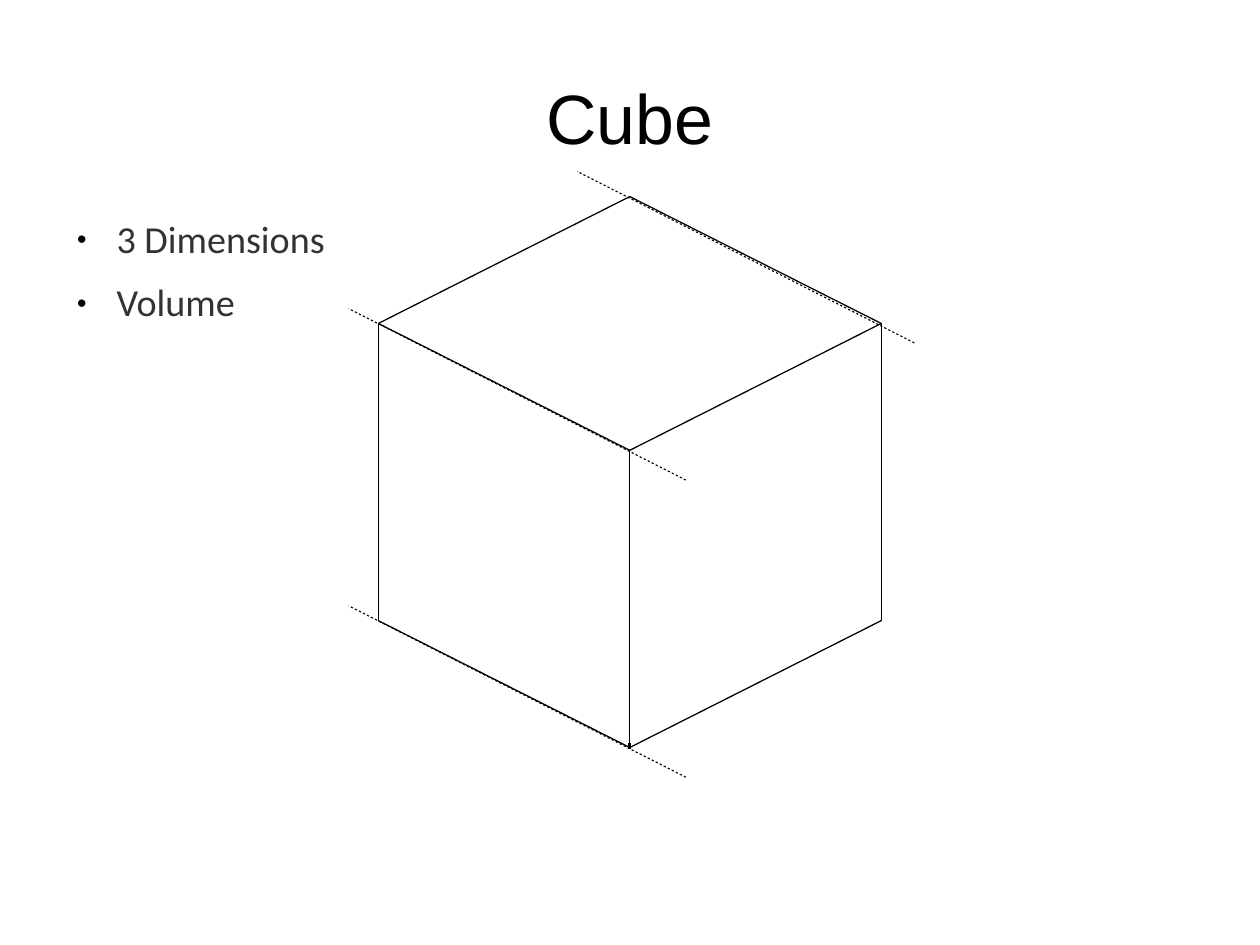
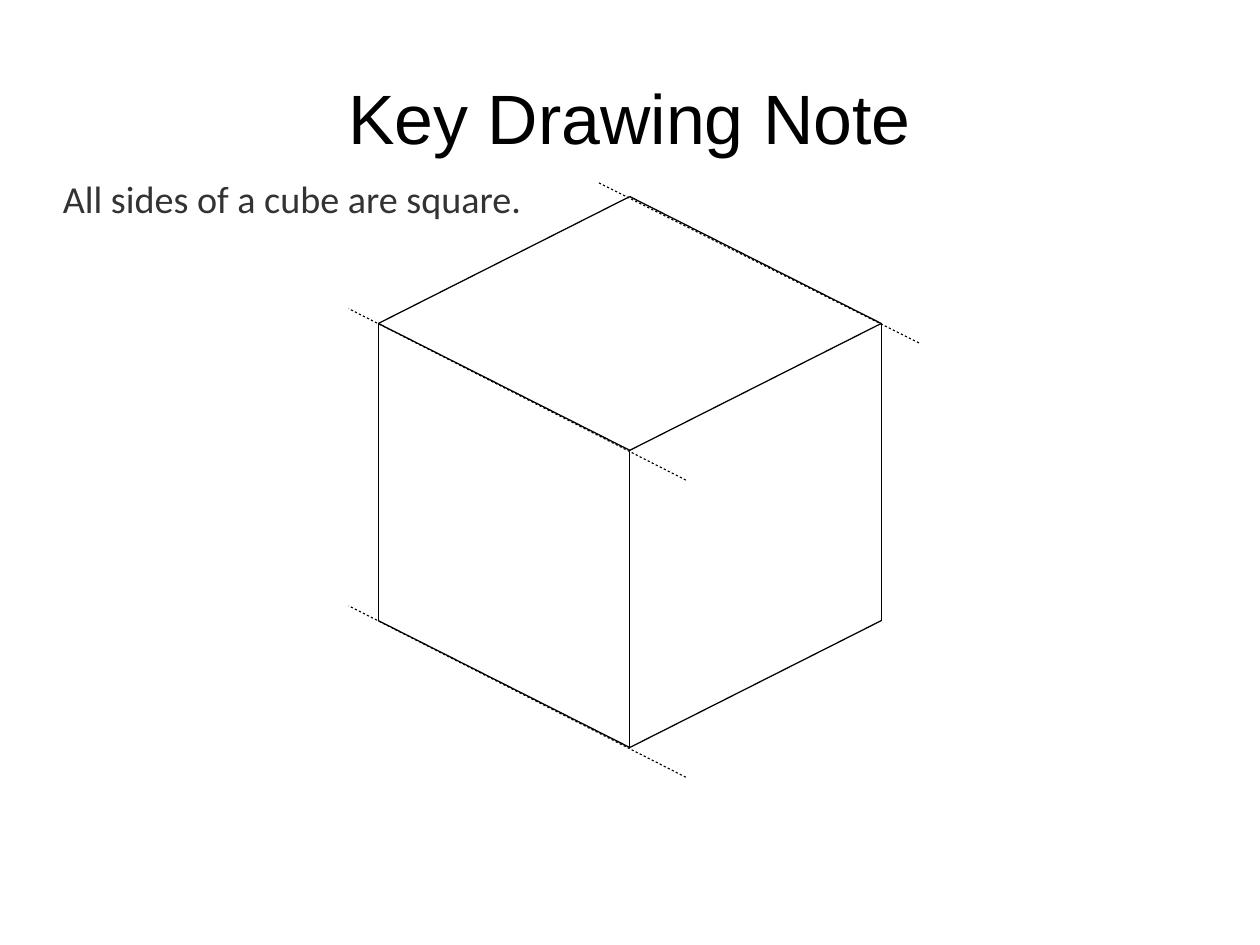
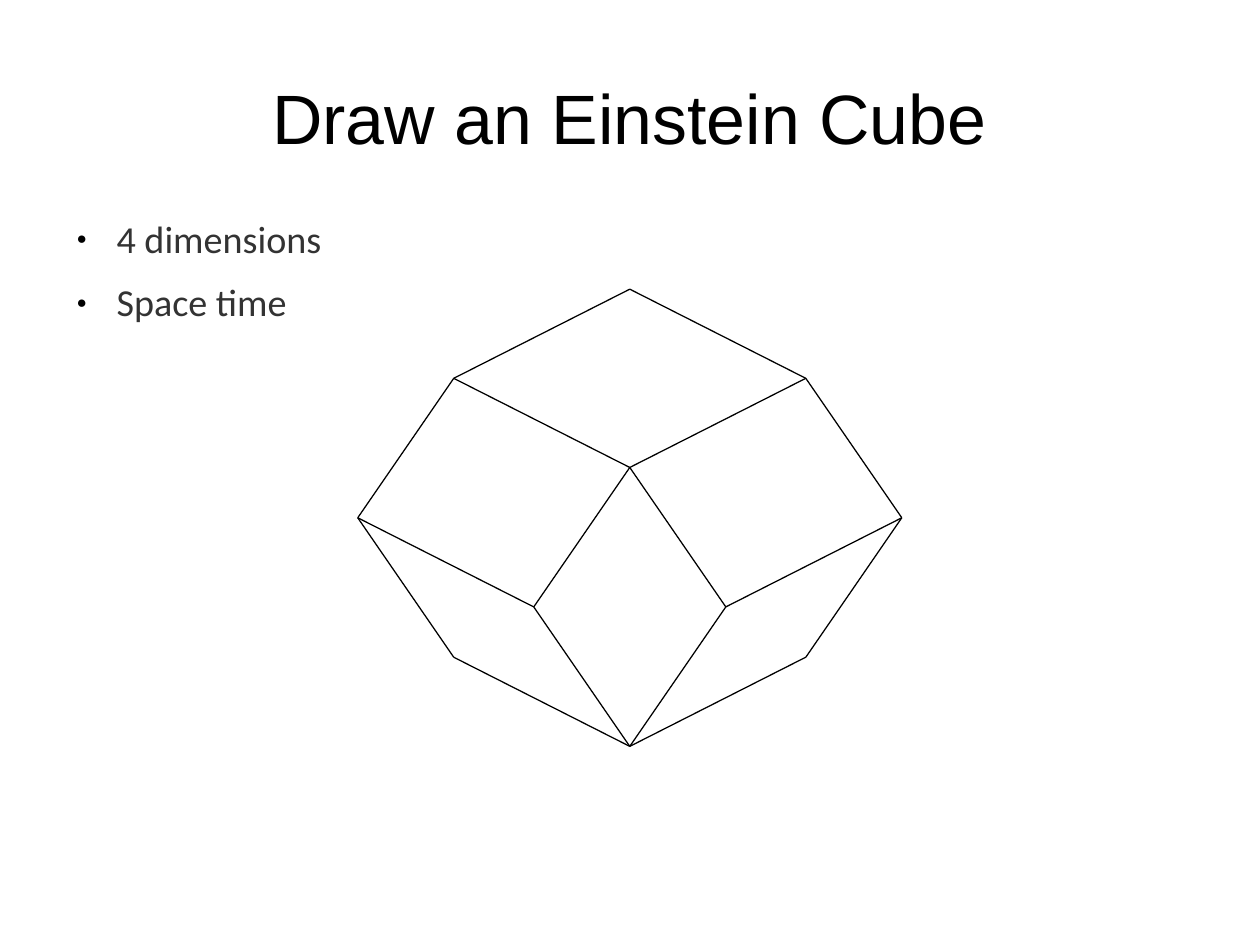
from dataclasses import dataclass
from typing import NamedTuple

from lxml.etree import SubElement
from pptx import Presentation
from pptx.dml.color import RGBColor
from pptx.enum.shapes import MSO_CONNECTOR as Connector
from pptx.enum.text import MSO_ANCHOR as Anchor, PP_ALIGN as Align
from pptx.oxml.ns import qn
from pptx.util import Inches, Pt


@dataclass(frozen=True)
class Theme:
    ink: str = "000000"
    body_ink: str = "333333"
    title_font: str = "Arial"
    body_font: str = "Calibri"
    bullet_font: str = "Arial"
    title_size: float = 44
    body_size: float = 24
    body_gap: float = 14.1
    edge: float = 0.79
    guide: float = 0.71
    dot: float = 2.15


class Point(NamedTuple):
    x: float
    y: float


class Segment(NamedTuple):
    start: Point
    end: Point


@dataclass(frozen=True)
class Page:
    title: str
    body: tuple[str, ...]
    corners: dict[str, Point]
    edges: str
    guides: tuple[Segment, ...] = ()
    dots: tuple[Segment, ...] = ()
    body_top: float = 1.93
    bulleted: bool = True
    grouped: bool = False


THEME = Theme()
# The page measures 28 by 21 centimetres
PAGE_WIDTH, PAGE_HEIGHT = Inches(28 / 2.54), Inches(21 / 2.54)
LEFT, WIDTH, CENTER = 0.55, 9.92, 5.51

# Cube: corners named by letter, edges as pairs of letters
HALF, RISE, HEIGHT, APEX = 2.2, 1.11, 2.6, 1.72
CUBE = {
    "A": Point(CENTER, APEX),
    "B": Point(CENTER - HALF, APEX + RISE),
    "C": Point(CENTER + HALF, APEX + RISE),
    "D": Point(CENTER, APEX + 2 * RISE),
    "E": Point(CENTER - HALF, APEX + RISE + HEIGHT),
    "F": Point(CENTER + HALF, APEX + RISE + HEIGHT),
    "G": Point(CENTER, APEX + 2 * RISE + HEIGHT),
}
CUBE_EDGES = "EG GF DC BD CF BE AC BA DG"
FRONT_GUIDES = tuple(Segment(Point(6, y), Point(3.05, y - 1.5)) for y in (4.2, 6.8))

# Einstein cube: a shallow step and a steep step span every face
SHALLOW, STEEP, TOP = Point(1.54, 0.78), Point(0.84, 1.22), 2.53


def einstein_corner(left: int, right: int, steep_left: int, steep_right: int) -> Point:
    """Corner reached from the top by counting steps in each direction."""
    return Point(
        CENTER + (right - left) * SHALLOW.x + (steep_right - steep_left) * STEEP.x,
        TOP + (left + right) * SHALLOW.y + (steep_left + steep_right) * STEEP.y,
    )


EINSTEIN = {
    "A": einstein_corner(0, 0, 0, 0),
    "B": einstein_corner(1, 0, 0, 0),
    "C": einstein_corner(0, 1, 0, 0),
    "D": einstein_corner(1, 1, 0, 0),
    "E": einstein_corner(1, 0, 1, 0),
    "F": einstein_corner(0, 1, 0, 1),
    "G": einstein_corner(1, 1, 1, 0),
    "H": einstein_corner(1, 1, 0, 1),
    "I": einstein_corner(1, 0, 1, 1),
    "J": einstein_corner(0, 1, 1, 1),
    "K": einstein_corner(1, 1, 1, 1),
}
EINSTEIN_EDGES = "IK GK KJ KH EG EI GD DH HF JF EB BD CF DC BA AC"

PAGES = (
    Page("Cube", ("3 Dimensions", "Volume"), CUBE, CUBE_EDGES,
         guides=FRONT_GUIDES + (Segment(Point(8, 3), Point(5.05, 1.5)),),
         dots=(Segment(Point(CENTER, 6.5), Point(CENTER, 6.55)),)),
    Page("Key Drawing Note", ("All sides of a cube are square.",), CUBE, CUBE_EDGES,
         guides=FRONT_GUIDES + (Segment(Point(8.04, 3), Point(5.24, 1.6)),),
         body_top=1.58, bulleted=False),
    Page("Draw an Einstein Cube", ("4 dimensions", "Space time"), EINSTEIN,
         EINSTEIN_EDGES, grouped=True),
)


def add_line(shapes, segment: Segment, width: float, dashed: bool = False) -> None:
    """Draw a straight line with no shadow."""
    start, end = segment
    connector = shapes.add_connector(
        Connector.STRAIGHT, Inches(start.x), Inches(start.y), Inches(end.x), Inches(end.y))
    line = connector.line
    line.width = Pt(width)
    line.color.rgb = RGBColor.from_string(THEME.ink)
    properties = connector._element.spPr
    if dashed:
        dashes = SubElement(properties.find(qn("a:ln")), qn("a:custDash"))
        SubElement(dashes, qn("a:ds"), d="200000", sp="200000")
    SubElement(properties, qn("a:effectLst"))


def add_bullet(paragraph) -> None:
    """Give the paragraph a small round bullet and a hanging indent."""
    properties = paragraph._p.get_or_add_pPr()
    properties.set("marL", str(Inches(0.47)))
    properties.set("indent", str(Inches(-0.35)))
    color = SubElement(properties, qn("a:buClr"))
    SubElement(color, qn("a:srgbClr"), val=THEME.ink)
    SubElement(properties, qn("a:buSzPct"), val="45000")
    SubElement(properties, qn("a:buFont"), typeface=THEME.bullet_font)
    SubElement(properties, qn("a:buChar"), char="●")


def add_text(slide, lines: tuple[str, ...], *, top: float, height: float, font: str,
             size: float, color: str, align: Align = Align.LEFT,
             anchor: Anchor = Anchor.TOP, spacing: float = 1.0, after: float = 0,
             bulleted: bool = False) -> None:
    """Write one paragraph per line in a box across the slide."""
    frame = slide.shapes.add_textbox(
        Inches(LEFT), Inches(top), Inches(WIDTH), Inches(height)).text_frame
    frame.word_wrap = True
    frame.vertical_anchor = anchor
    frame.margin_left = frame.margin_right = frame.margin_top = frame.margin_bottom = 0
    for index, line in enumerate(lines):
        paragraph = frame.add_paragraph() if index else frame.paragraphs[0]
        paragraph.alignment = align
        paragraph.line_spacing = spacing
        paragraph.space_after = Pt(after)
        if bulleted:
            add_bullet(paragraph)
        run = paragraph.add_run()
        run.text = line
        run.font.name = font
        run.font.size = Pt(size)
        run.font.color.rgb = RGBColor.from_string(color)


def add_page(deck, page: Page) -> None:
    slide = deck.slides.add_slide(deck.slide_layouts[6])
    # Drawing
    shapes = slide.shapes.add_group_shape().shapes if page.grouped else slide.shapes
    for start, end in page.edges.split():
        add_line(shapes, Segment(page.corners[start], page.corners[end]), THEME.edge)
    for guide in page.guides:
        add_line(shapes, guide, THEME.guide, dashed=True)
    for dot in page.dots:
        add_line(shapes, dot, THEME.dot)
    # Title and body
    add_text(slide, (page.title,), top=0.33, height=1.38, font=THEME.title_font,
             size=THEME.title_size, color=THEME.ink, align=Align.CENTER,
             anchor=Anchor.MIDDLE)
    add_text(slide, page.body, top=page.body_top, height=5.46, font=THEME.body_font,
             size=THEME.body_size, color=THEME.body_ink, spacing=0.9,
             after=THEME.body_gap, bulleted=page.bulleted)


def main() -> None:
    deck = Presentation()
    deck.slide_width = PAGE_WIDTH
    deck.slide_height = PAGE_HEIGHT
    for page in PAGES:
        add_page(deck, page)
    deck.save("out.pptx")


if __name__ == "__main__":
    main()
